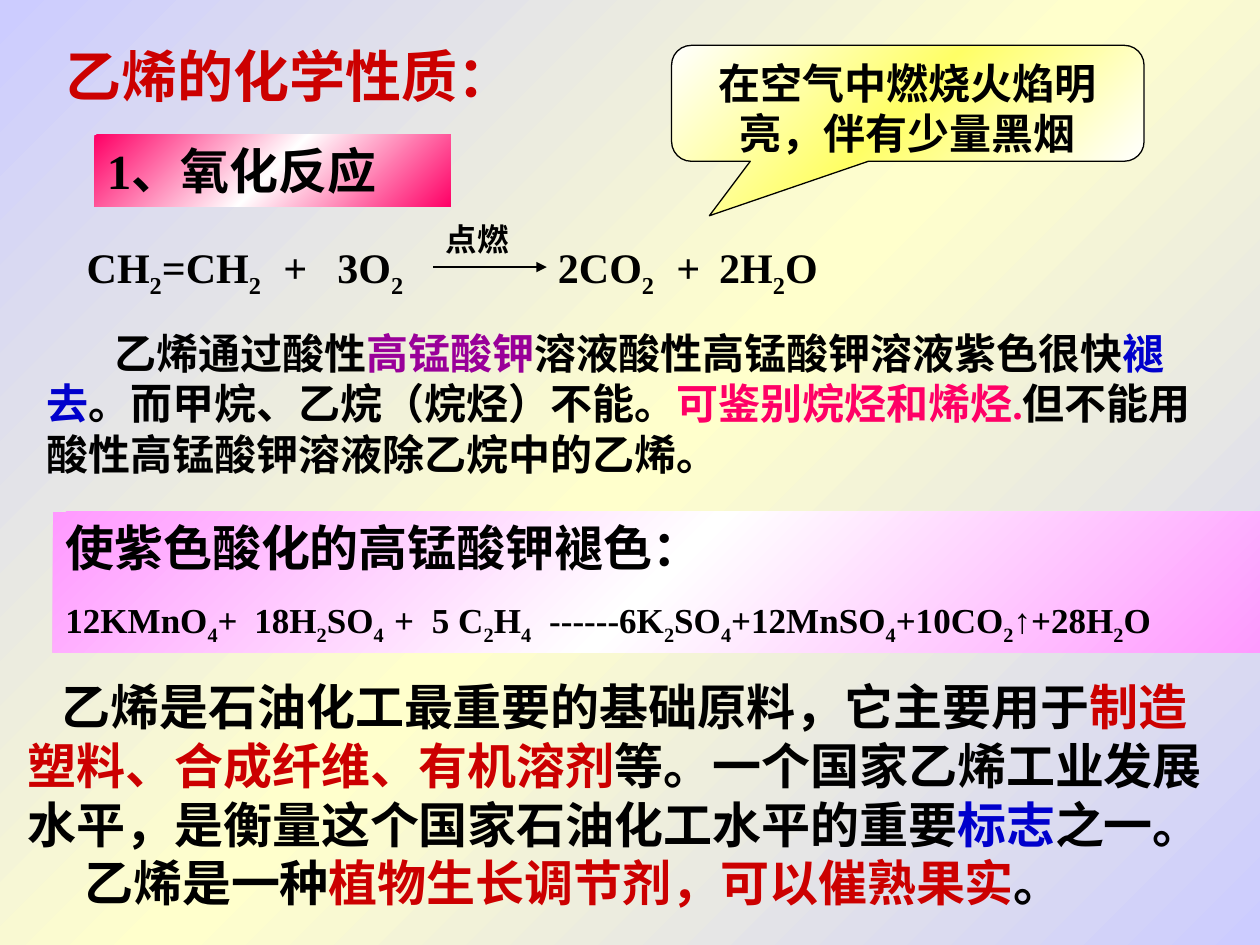
"""Build a slide on the chemical properties of ethylene."""
from copy import deepcopy

from lxml import etree
from pptx import Presentation
from pptx.dml.color import RGBColor
from pptx.enum.shapes import MSO_CONNECTOR, MSO_SHAPE
from pptx.enum.text import MSO_ANCHOR, PP_ALIGN
from pptx.oxml.ns import qn
from pptx.util import Inches, Pt

RECTANGLE = MSO_SHAPE.RECTANGLE
CALLOUT = MSO_SHAPE.ROUNDED_RECTANGULAR_CALLOUT
STRAIGHT = MSO_CONNECTOR.STRAIGHT
TOP = MSO_ANCHOR.TOP
LEFT, CENTER = PP_ALIGN.LEFT, PP_ALIGN.CENTER

THEME = {
    "color": {
        "black": "000000", "red": "CC0000", "blue": "0000CC",
        "purple": "990099", "rose": "FF0066", "white": "FFFFFF",
        "yellow": "FFFF66", "pink": "FF99FF", "lilac": "CCCCFF", "cream": "FFFFCC",
    },
    "size": {"title": 32, "heading": 28, "body": 24, "equation": 20, "label": 18},
    "font": {"text": "Times New Roman", "symbol": "Arial"},
}
COLORS = {name: RGBColor.from_string(value) for name, value in THEME["color"].items()}
FRAME_FORMAT = {
    "word_wrap": True, "vertical_anchor": TOP,
    "margin_left": Inches(0.1), "margin_right": Inches(0.1),
    "margin_top": Inches(0.05), "margin_bottom": Inches(0.05),
}


def fill_gradient(fill, outer, inner):
    """Fill with a diagonal gradient running outer, inner, outer."""
    fill.gradient()
    fill.gradient_angle = 315
    first, middle = fill.gradient_stops
    first.color.rgb, middle.color.rgb = COLORS[outer], COLORS[inner]
    first.position, middle.position = 0, 0.5
    stop_list = fill._fill._gradFill.find(qn("a:gsLst"))
    last = deepcopy(stop_list[0])
    last.set("pos", "100000")
    stop_list.append(last)


def write_text(frame, paragraphs):
    """Write paragraphs of coloured runs; an underscore lowers the next character."""
    for name, value in FRAME_FORMAT.items():
        setattr(frame, name, value)
    for index, content in enumerate(paragraphs):
        paragraph = frame.paragraphs[0] if index == 0 else frame.add_paragraph()
        paragraph.alignment = content.get("align", LEFT)
        paragraph.space_before = Pt(content.get("before", 0))
        properties = paragraph._p.get_or_add_pPr()
        properties.set("hangingPunct", "0")
        if "indent" in content:
            properties.set("indent", str(Inches(content["indent"])))
        if "tabs" in content:
            tab_list = etree.SubElement(properties, qn("a:tabLst"))
            for position in content["tabs"]:
                etree.SubElement(tab_list, qn("a:tab"), pos=str(Inches(position)), algn="l")
        for text, color, *font_name in content["runs"]:
            first, *lowered = text.split("_")
            pieces = [(first, 0)]
            for part in lowered:
                pieces += [(part[0], -25000), (part[1:], 0)]
            font_format = {
                "name": THEME["font"][font_name[0] if font_name else "text"],
                "size": Pt(THEME["size"][content["size"]]), "bold": True,
            }
            for piece, baseline in pieces:
                if not piece:
                    continue
                run = paragraph.add_run()
                run.text = piece
                for name, value in font_format.items():
                    setattr(run.font, name, value)
                run.font.color.rgb = COLORS[color]
                if baseline:
                    run._r.get_or_add_rPr().set("baseline", str(baseline))


TEXT_BOXES = [
    ((0.42, 0.28, 4.11, 0.64), [
        {"size": "title", "runs": [("乙烯的化学性质：", "red")]}]),
    ((0.59, 1.87, 6.33, 0.56), [
        {"size": "body", "tabs": (1.56, 1.99, 3.74, 4.68, 5.02),
         "runs": [("CH_2=CH_2\t+\t3O_2\t2CO_2\t+\t2H_2O", "black")]}]),
    ((3.44, 1.7, 0.98, 0.4), [{"size": "label", "runs": [("点燃", "black")]}]),
    ((0.27, 2.55, 9.45, 1.31), [
        {"size": "body", "indent": 0.54, "runs": [
            ("乙烯通过酸性", "black"), ("高锰酸钾", "purple"),
            ("溶液酸性高锰酸钾溶液紫色很快", "black"), ("褪去", "blue"),
            ("。而甲烷、乙烷（烷烃）不能。", "black"), ("可鉴别烷烃和烯烃.", "rose"),
            ("但不能用酸性高锰酸钾溶液除乙烷中的乙烯。", "black")]}]),
    ((0.12, 5.32, 9.65, 1.97), [
        {"size": "heading", "indent": 0.27, "runs": [
            ("乙烯是石油化工最重要的基础原料，它主要用于", "black"),
            ("制造塑料、合成纤维、有机溶剂", "red"),
            ("等。一个国家乙烯工业发展水平，是衡量这个国家石油化工水平的重要", "black"),
            ("标志", "blue"), ("之一。", "black")]},
        {"size": "heading", "indent": 0.45, "runs": [
            ("乙烯是一种", "black"), ("植物生长调节剂，可以催熟果实", "red"),
            ("。", "black")]}]),
]
PANELS = [
    (CALLOUT, (5.33, 0.36, 3.75, 0.92), ("white", "yellow"), [
        {"size": "body", "align": CENTER,
         "runs": [("在空气中燃烧火焰明亮，伴有少量黑烟", "black")]}]),
    (RECTANGLE, (0.75, 1.07, 2.83, 0.57), ("rose", "white"), [
        {"size": "heading", "runs": [("1、氧化反应", "black")]}]),
    (RECTANGLE, (0.42, 4.06, 9.58, 1.12), ("pink", "white"), [
        {"size": "heading", "runs": [("使紫色酸化的高锰酸钾褪色：", "black")]},
        {"size": "equation", "before": 12.5, "tabs": (1.5, 2.61, 2.91, 3.84), "runs": [
            ("12KMnO_4+\t18H_2SO_4\t+\t5 C_2H_4\t------6K_2SO_4+12MnSO_4+10CO_2", "black"),
            ("↑", "black", "symbol"), ("+28H_2O", "black")]}]),
]

presentation = Presentation()
presentation.slide_width, presentation.slide_height = Inches(10), Inches(7.5)
slide = presentation.slides.add_slide(presentation.slide_layouts[6])
fill_gradient(slide.background.fill, "lilac", "cream")

for bounds, paragraphs in TEXT_BOXES:
    text_box = slide.shapes.add_textbox(*map(Inches, bounds))
    write_text(text_box.text_frame, paragraphs)

for kind, bounds, gradient, paragraphs in PANELS:
    panel = slide.shapes.add_shape(kind, *map(Inches, bounds))
    panel.shadow.inherit = False
    fill_gradient(panel.fill, *gradient)
    if kind == CALLOUT:
        panel.line.color.rgb = COLORS["black"]
        panel.line.width = Pt(0.75)
        for index, value in enumerate((-0.42, 0.97, 0.17)):
            panel.adjustments[index] = value
    else:
        panel.line.fill.background()
    write_text(panel.text_frame, paragraphs)

reaction_arrow = slide.shapes.add_connector(STRAIGHT, *map(Inches, (3.44, 2.12, 4.34, 2.12)))
reaction_arrow.line.color.rgb = COLORS["black"]
reaction_arrow.line.width = Pt(0.75)
etree.SubElement(reaction_arrow.line._get_or_add_ln(), qn("a:tailEnd"), type="triangle")
etree.SubElement(reaction_arrow._element.spPr, qn("a:effectLst"))

presentation.save("out.pptx")
